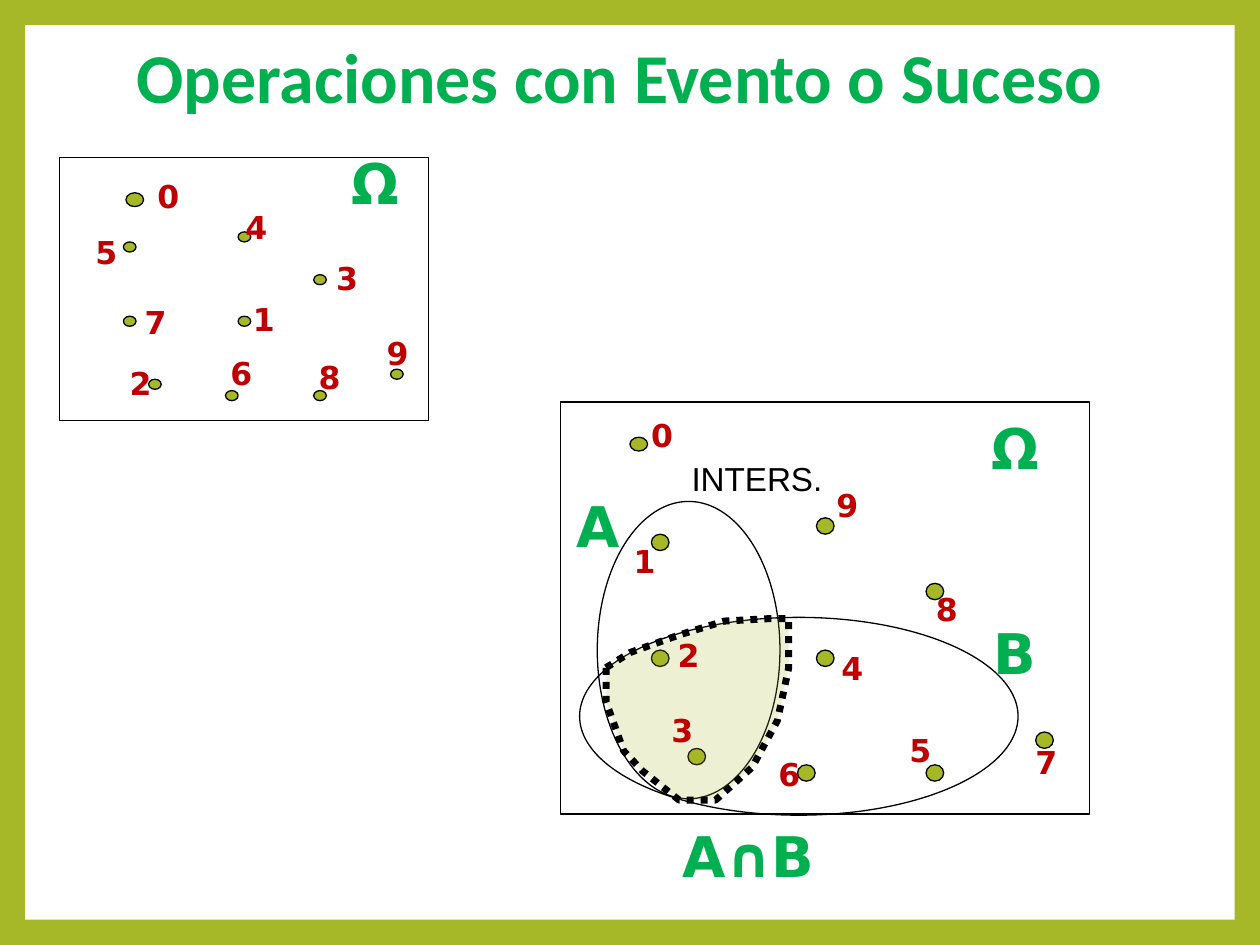
import pptx
import pptx.util
from pptx.dml.color import RGBColor
from pptx.enum.dml import MSO_LINE
from pptx.enum.shapes import MSO_SHAPE
from pptx.enum.text import MSO_ANCHOR, PP_ALIGN
from pptx.oxml.ns import qn
from lxml import etree

Inches, Pt = pptx.util.Inches, pptx.util.Pt

OLIVE = RGBColor(0xA6, 0xB7, 0x27)
WHITE = RGBColor(0xFF, 0xFF, 0xFF)
BLACK = RGBColor(0x00, 0x00, 0x00)
GREEN = RGBColor(0x00, 0xB0, 0x50)
RED = RGBColor(0xC0, 0x00, 0x00)

TITLE = {"name": "Calibri", "size": Pt(40), "bold": True}
DIGIT = {"name": "DejaVu Sans", "size": Pt(18), "bold": True}
SET_NAME = {"name": "DejaVu Sans", "size": Pt(32), "bold": True}
CAPTION = {"name": "Arial", "size": Pt(19), "bold": False}

# Offsets from the top left of the sample space: digit -> (dot, label)
SPACE_POINTS = {
    "1": ((1.42, 1.26), (1.44, 1.08)),
    "2": ((0.71, 1.76), (0.46, 1.59)),
    "3": ((2.02, 0.93), (2.1, 0.76)),
    "4": ((1.42, 0.59), (1.38, 0.35)),
    "5": ((0.51, 0.67), (0.19, 0.55)),
    "6": ((1.32, 1.85), (1.26, 1.51)),
    "7": ((0.51, 1.26), (0.58, 1.11)),
    "8": ((2.02, 1.85), (1.96, 1.54)),
    "9": ((2.63, 1.68), (2.5, 1.35)),
}
VENN_POINTS = {
    "1": ((0.72, 1.05), (0.48, 1.06)),
    "2": ((0.72, 1.97), (0.83, 1.81)),
    "3": ((1.01, 2.75), (0.78, 2.4)),
    "4": ((2.03, 1.97), (2.13, 1.91)),
    "5": ((2.9, 2.88), (2.67, 2.56)),
    "6": ((1.88, 2.88), (1.63, 2.75)),
    "7": ((3.77, 2.62), (3.67, 2.66)),
    "8": ((2.9, 1.44), (2.88, 1.44)),
    "9": ((2.03, 0.92), (2.09, 0.62)),
}
ZERO_SPACE = {"0": ((0.53, 0.28), (0.68, 0.11))}
ZERO_VENN = {"0": ((0.55, 0.28), (0.62, 0.06))}
INTERSECTION = [
    (0.36, 2.11), (0.55, 1.99), (0.94, 1.85), (1.3, 1.74), (1.66, 1.72),
    (1.81, 1.72), (1.81, 2.11), (1.72, 2.53), (1.52, 2.9), (1.23, 3.16),
    (0.94, 3.16), (0.65, 2.93), (0.5, 2.77), (0.36, 2.38),
]


def add_shape(slide, kind, x, y, w, h, fill=None, line=BLACK):
    sp = slide.shapes.add_shape(kind, Inches(x), Inches(y), Inches(w), Inches(h))
    sp.shadow.inherit = False
    if fill is None:
        sp.fill.background()
    else:
        sp.fill.solid()
        sp.fill.fore_color.rgb = fill
    if line is None:
        sp.line.fill.background()
    else:
        sp.line.color.rgb = line
        sp.line.width = Pt(0.75)
    return sp


def add_text(slide, text, x, y, w, h, font, color, wrap=True):
    tb = slide.shapes.add_textbox(Inches(x), Inches(y), Inches(w), Inches(h))
    tf = tb.text_frame
    tf.word_wrap = wrap
    p = tf.paragraphs[0]
    r = p.add_run()
    r.text = text
    for key, value in font.items():
        setattr(r.font, key, value)
    r.font.color.rgb = color
    return tf


def add_dots(slide, x, y, points, w, h):
    for (dx, dy), _ in points.values():
        add_shape(slide, MSO_SHAPE.OVAL, x + dx, y + dy, w, h, OLIVE)


def add_digits(slide, x, y, points):
    for digit, (_, (dx, dy)) in points.items():
        add_text(slide, digit, x + dx, y + dy, 0.43, 0.4, DIGIT, RED)


def add_set_name(slide, text, x, y, w=0.58):
    add_text(slide, text, x, y, w, 0.64, SET_NAME, GREEN, wrap=False)


def add_intersection(slide, x, y):
    """Outline the shared region of A and B with dots and a pale fill."""
    points = [(Inches(x + dx), Inches(y + dy)) for dx, dy in INTERSECTION]
    builder = slide.shapes.build_freeform(*points[0])
    builder.add_line_segments(points[1:], close=True)
    sp = builder.convert_to_shape()
    sp.shadow.inherit = False
    sp.fill.solid()
    sp.fill.fore_color.rgb = OLIVE
    color = sp.fill._xPr.find(qn("a:solidFill"))[0]
    etree.SubElement(color, qn("a:alpha"), val="20000")
    sp.line.color.rgb = BLACK
    sp.line.width = Pt(4)
    sp.line.dash_style = MSO_LINE.ROUND_DOT


def add_frame(slide, x, y, w, h):
    slide.background.fill.solid()
    slide.background.fill.fore_color.rgb = OLIVE
    add_shape(slide, MSO_SHAPE.RECTANGLE, x, y, w, h, WHITE, line=None)


def add_title(slide, x, y, w, h):
    tf = add_text(slide, "Operaciones con Evento o Suceso", x, y, w, h, TITLE, GREEN)
    tf.vertical_anchor = MSO_ANCHOR.MIDDLE
    p = tf.paragraphs[0]
    p.alignment = PP_ALIGN.CENTER
    p.line_spacing = 0.9


def add_sample_space(slide, x, y, w, h):
    add_shape(slide, MSO_SHAPE.RECTANGLE, x, y, w, h)
    add_dots(slide, x, y, SPACE_POINTS, 0.1, 0.08)
    add_dots(slide, x, y, ZERO_SPACE, 0.14, 0.11)
    add_digits(slide, x, y, SPACE_POINTS | ZERO_SPACE)
    add_set_name(slide, "Ω", x + 2.22, y - 0.12)


def add_venn(slide, x, y, w, h):
    add_shape(slide, MSO_SHAPE.RECTANGLE, x, y, w, h)
    add_dots(slide, x, y, VENN_POINTS, 0.14, 0.13)
    add_dots(slide, x, y, ZERO_VENN, 0.14, 0.11)
    add_shape(slide, MSO_SHAPE.OVAL, x + 0.29, y + 0.79, 1.45, 2.36)
    add_shape(slide, MSO_SHAPE.OVAL, x + 0.15, y + 1.71, 3.48, 1.57)
    add_intersection(slide, x, y)
    add_text(slide, "INTERS.", x + 0.94, y + 0.4, 2.46, 0.42, CAPTION, BLACK)
    add_digits(slide, x, y, VENN_POINTS | ZERO_VENN)
    add_set_name(slide, "Ω", x + 3.32, y + 0.04)
    add_set_name(slide, "A", x + 0.03, y + 0.66, 0.55)
    add_set_name(slide, "B", x + 3.34, y + 1.67, 0.54)
    add_text(slide, "A∩B", x + 0.87, y + 3.28, 1.59, 0.64, SET_NAME, GREEN)


def main():
    prs = pptx.Presentation()
    prs.slide_width, prs.slide_height = Inches(10), Inches(7.5)
    s = prs.slides.add_slide(prs.slide_layouts[6])
    add_frame(s, 0.2, 0.2, 9.6, 7.1)
    add_title(s, 0.53, -0.1, 8.77, 1.48)
    add_venn(s, 4.45, 3.19, 4.2, 3.27)
    add_sample_space(s, 0.47, 1.25, 2.93, 2.09)
    prs.save("out.pptx")


if __name__ == "__main__":
    main()
